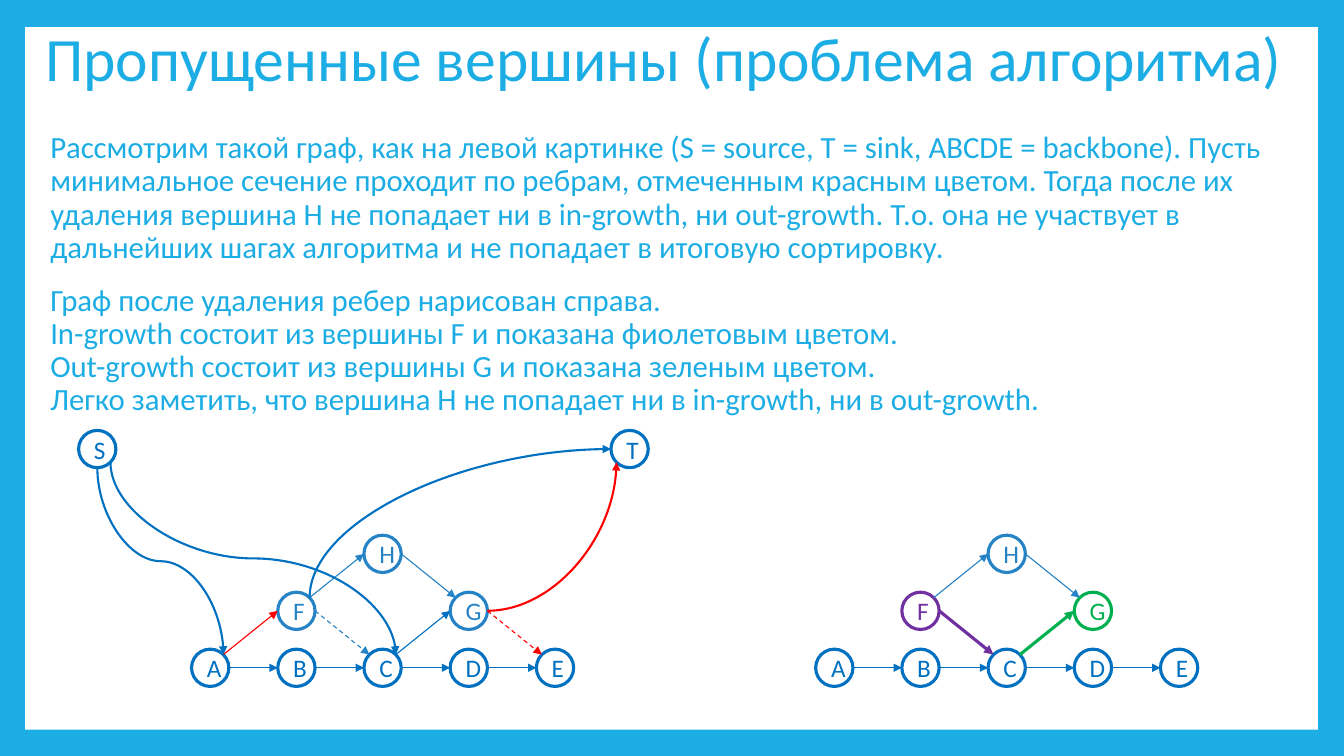
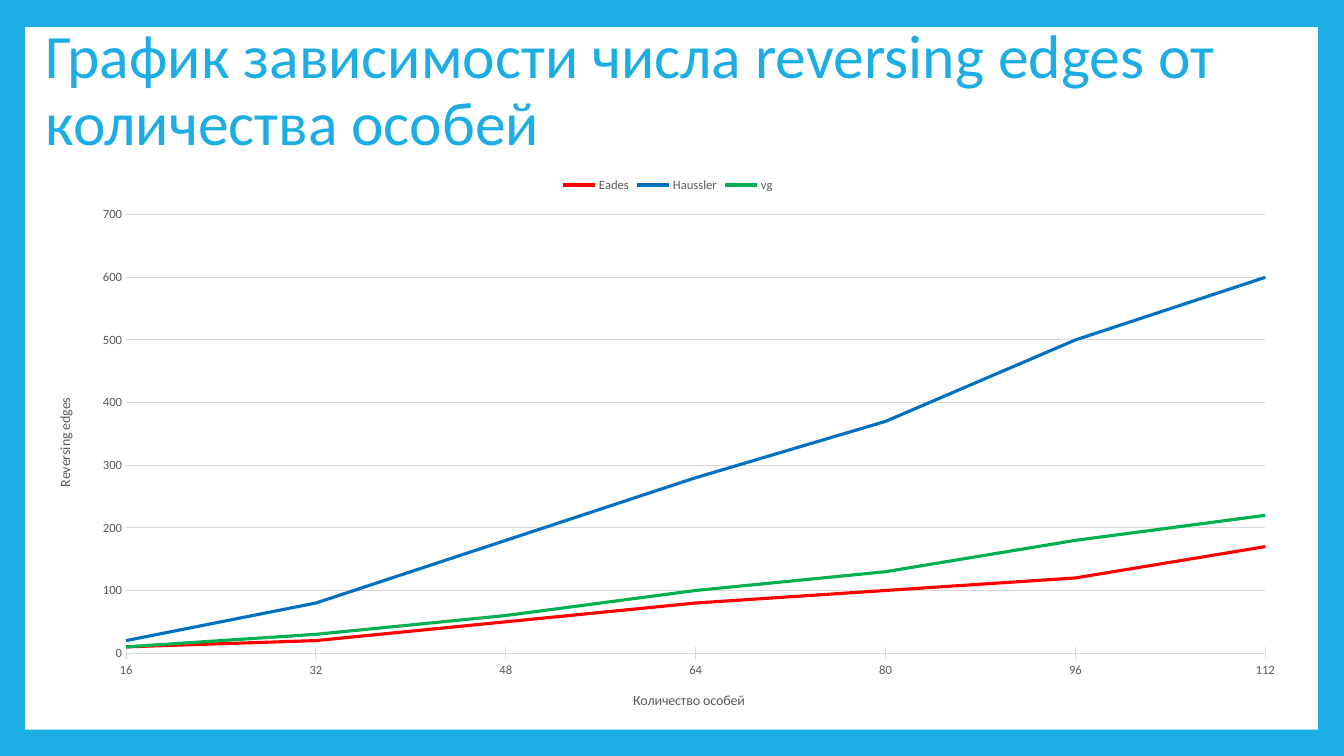
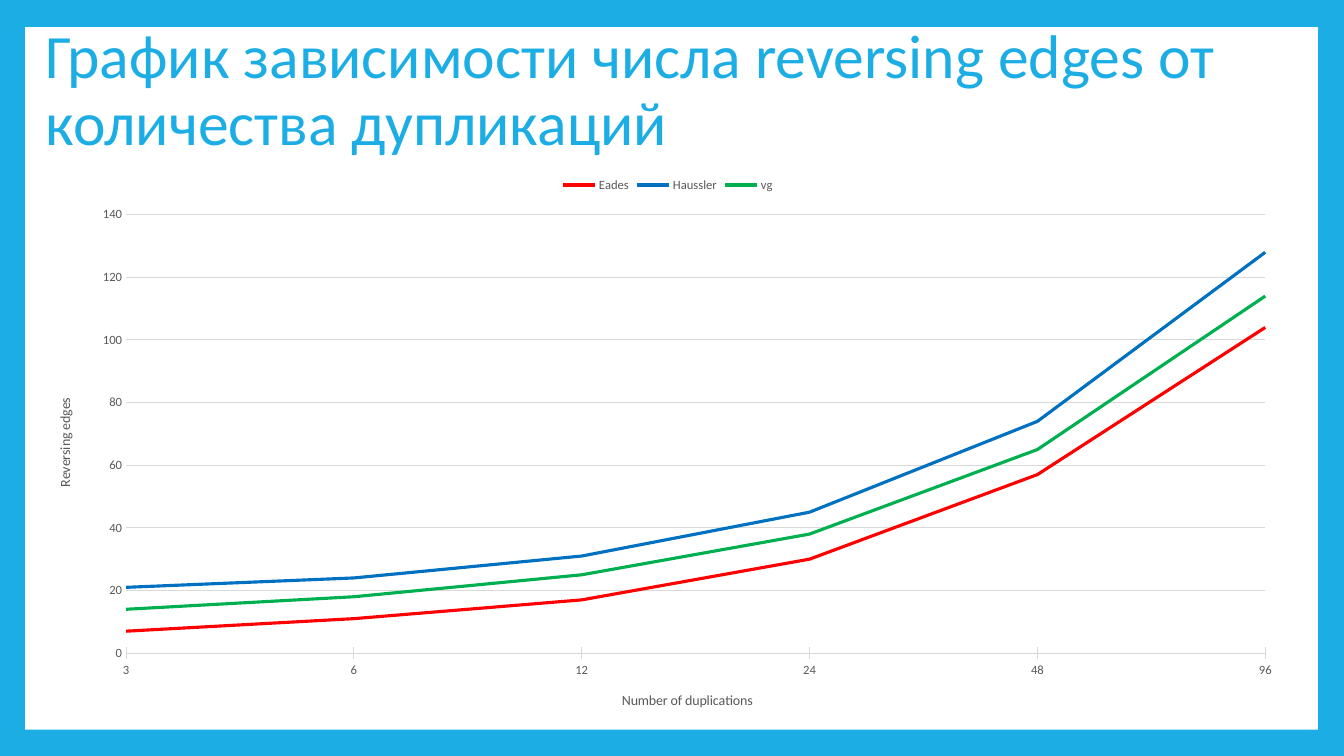
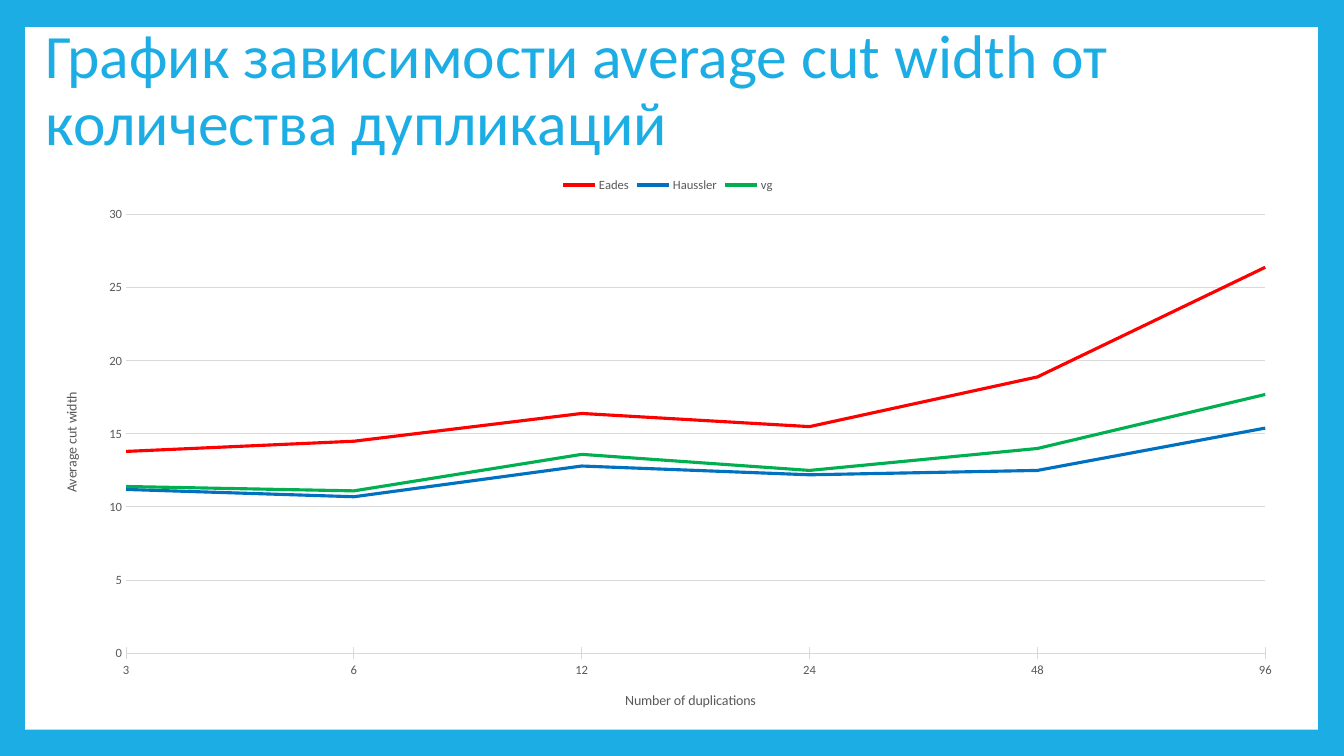
from collections import namedtuple
from dataclasses import dataclass
from math import sqrt

from pptx import Presentation
from pptx import util as u
from pptx.chart import data as chart_data
from pptx.dml import color
from pptx.enum import chart as charts
from pptx.enum import dml, shapes, text
from pptx.oxml import ns, xmlchemy
from pptx.oxml import parse_xml

Box = namedtuple("Box", "left top width height")
Edge = namedtuple("Edge", "start start_side end end_side colour width dash", defaults=(0.79, False))
Curve = namedtuple("Curve", "start start_side end end_side colour preset rotation flips")


@dataclass(frozen=True)
class Theme:
    font: str = "Calibri"
    accent: str = "1CADE4"
    white: str = "FFFFFF"
    blue: str = "0070C0"
    steel: str = "2683C6"
    red: str = "FF0000"
    green: str = "00B050"
    purple: str = "7030A0"
    grey: str = "595959"
    grid: str = "D9D9D9"
    title_size: float = 44
    body_size: float = 22
    node_size: float = 18
    axis_title_size: float = 10
    label_size: float = 9
    line_spacing: float = 0.9
    paragraph_gap: float = 14
    outline: float = 2.25
    curve_width: float = 1.5
    hairline: float = 0.75


THEME = Theme()
PANEL = Box(0.25, 0.27, 12.82, 6.97)
SHORT_TITLE = Box(0.35, 0.18, 12.55, 0.87)
TALL_TITLE = Box(0.35, 0.18, 12.55, 1.47)
BODY = Box(0.35, 1.26, 12.55, 2.95)
CHART = Box(0.35, 1.65, 12.55, 5.59)
PLOT = Box(1.25, 2.13, 11.3, 4.35)

NODE = 0.37
COLUMN = 0.855
ROW = 0.565
GRID = {"A": (0, 2), "B": (1, 2), "C": (2, 2), "D": (3, 2), "E": (4, 2),
        "F": (1, 1), "G": (3, 1), "H": (2, 0)}
TERMINALS = {"S": (-1.12, -1.04), "T": (4.16, -1.04)}
DIAGONAL = sqrt(0.5)
SIDES = {"top": (0, -1), "bottom": (0, 1), "left": (-1, 0), "right": (1, 0),
         "top left": (-DIAGONAL, -DIAGONAL), "top right": (DIAGONAL, -DIAGONAL),
         "bottom left": (-DIAGONAL, DIAGONAL), "bottom right": (DIAGONAL, DIAGONAL)}

BACKBONE = [Edge(a, "right", b, "left", THEME.blue) for a, b in zip("ABCD", "BCDE")]
DETOUR = [Edge("F", "top right", "H", "left", THEME.steel),
          Edge("H", "right", "G", "top left", THEME.steel)]
FULL_EDGES = BACKBONE + DETOUR + [
    Edge("F", "right", "C", "top left", THEME.steel, dash=True),
    Edge("A", "top right", "F", "left", THEME.red),
    Edge("G", "right", "E", "top left", THEME.red, dash=True),
    Edge("C", "top right", "G", "left", THEME.blue),
]
FULL_CURVES = [
    Curve("S", "bottom", "A", "top right", THEME.blue, "curvedConnector3", 270, "H"),
    Curve("S", "bottom right", "C", "top right", THEME.blue, "curvedConnector3", 270, "H"),
    Curve("F", "top right", "T", "left", THEME.blue, "curvedConnector2", 90, "HV"),
    Curve("G", "right", "T", "bottom left", THEME.red, "curvedConnector2", 0, "V"),
]
CUT_EDGES = BACKBONE + DETOUR + [
    Edge("F", "right", "C", "top left", THEME.purple, THEME.outline),
    Edge("C", "top right", "G", "left", THEME.green, THEME.outline),
]

BODY_TEXT = [
    "Рассмотрим такой граф, как на левой картинке (S = source, T = sink, ABCDE = backbone). "
    "Пусть минимальное сечение проходит по ребрам, отмеченным красным цветом. Тогда после их "
    "удаления вершина H не попадает ни в in-growth, ни out-growth. Т.о. она не участвует в "
    "дальнейших шагах алгоритма и не попадает в итоговую сортировку.",
    "Граф после удаления ребер нарисован справа.\n"
    "In-growth состоит из вершины F и показана фиолетовым цветом.\n"
    "Out-growth состоит из вершины G и показана зеленым цветом.\n"
    "Легко заметить, что вершина H не попадает ни в in-growth, ни в out-growth.",
]

SERIES_COLOURS = {"Eades": THEME.red, "Haussler": THEME.blue, "vg": THEME.green}
DUPLICATIONS = ["3", "6", "12", "24", "48", "96"]
CHART_PAGES = [
    dict(title="График зависимости числа reversing edges от количества особей",
         x_title="Количество особей", y_title="Reversing edges", top=700, step=100,
         categories=["16", "32", "48", "64", "80", "96", "112"],
         values=[[10, 20, 50, 80, 100, 120, 170],
                 [20, 80, 180, 280, 370, 500, 600],
                 [10, 30, 60, 100, 130, 180, 220]]),
    dict(title="График зависимости числа reversing edges от количества дупликаций",
         x_title="Number of duplications", y_title="Reversing edges", top=140, step=20,
         categories=DUPLICATIONS,
         values=[[7, 11, 17, 30, 57, 104],
                 [21, 24, 31, 45, 74, 128],
                 [14, 18, 25, 38, 65, 114]]),
    dict(title="График зависимости average cut width от количества дупликаций",
         x_title="Number of duplications", y_title="Average cut width", top=30, step=5,
         categories=DUPLICATIONS,
         values=[[13.8, 14.5, 16.4, 15.5, 18.9, 26.4],
                 [11.2, 10.7, 12.8, 12.2, 12.5, 15.4],
                 [11.4, 11.1, 13.6, 12.5, 14, 17.7]]),
]


def rgb(value):
    return color.RGBColor.from_string(value)


def inches(box):
    return [u.Inches(length) for length in box]


def set_font(font, size, colour):
    font.name = THEME.font
    font.size = u.Pt(size)
    font.bold = False
    font.color.rgb = rgb(colour)


def set_line(line, colour, width):
    line.color.rgb = rgb(colour)
    line.width = u.Pt(width)


def write(frame, paragraphs, size, colour, align=text.PP_ALIGN.LEFT,
          anchor=text.MSO_ANCHOR.TOP, spacing=None, gap=0, indent=0):
    frame.word_wrap = True
    frame.auto_size = text.MSO_AUTO_SIZE.NONE
    frame.vertical_anchor = anchor
    for index, content in enumerate(paragraphs):
        para = frame.add_paragraph() if index else frame.paragraphs[0]
        para.text = content
        para.alignment = align
        para.line_spacing = spacing
        para.space_before = u.Pt(gap if index else 0)
        if indent:
            properties = para._p.get_or_add_pPr()
            properties.set("marL", str(u.Inches(indent)))
            properties.set("indent", "0")
        for span in para.runs:
            set_font(span.font, size, colour)


def set_up_layout(deck, layout):
    fill = layout.background.fill
    fill.solid()
    fill.fore_color.rgb = rgb(THEME.accent)
    page = deck.slides.add_slide(layout)
    panel = page.shapes.add_shape(shapes.MSO_SHAPE.RECTANGLE, *inches(PANEL))
    panel.shadow.inherit = False
    panel.fill.solid()
    panel.fill.fore_color.rgb = rgb(THEME.white)
    panel.line.fill.background()
    panel.element.nvSpPr.cNvPr.set("id", "20")
    layout.shapes.element.insert(2, panel.element)
    return page


def add_title(page, box, content):
    title = page.shapes.title
    title.left, title.top, title.width, title.height = inches(box)
    write(title.text_frame, [content], THEME.title_size, THEME.accent,
          anchor=text.MSO_ANCHOR.MIDDLE, spacing=THEME.line_spacing)


def add_body(page, box, paragraphs):
    body = page.shapes.add_textbox(*inches(box))
    write(body.text_frame, paragraphs, THEME.body_size, THEME.accent,
          spacing=THEME.line_spacing, gap=THEME.paragraph_gap, indent=0.05)


def add_node(page, left, top, name, colour):
    node = page.shapes.add_shape(shapes.MSO_SHAPE.OVAL, *inches((left, top, NODE, NODE)))
    node.shadow.inherit = False
    node.fill.background()
    set_line(node.line, colour, THEME.outline)
    write(node.text_frame, [name], THEME.node_size, colour,
          align=text.PP_ALIGN.CENTER, anchor=text.MSO_ANCHOR.MIDDLE)


def finish_arrow(arrow, colour, width, dash=False):
    set_line(arrow.line, colour, width)
    if dash:
        arrow.line.dash_style = dml.MSO_LINE.DASH
    properties = arrow.element.spPr
    outline = properties.find(ns.qn("a:ln"))
    outline.append(xmlchemy.OxmlElement("a:tailEnd"))
    outline[-1].set("type", "triangle")
    properties.append(xmlchemy.OxmlElement("a:effectLst"))


def add_edge(page, start, end, edge):
    arrow = page.shapes.add_connector(shapes.MSO_CONNECTOR.STRAIGHT, *inches(start + end))
    finish_arrow(arrow, edge.colour, edge.width, edge.dash)


def add_curve(page, start, end, curve):
    width, height = abs(end[0] - start[0]), abs(end[1] - start[1])
    if curve.rotation % 180:
        width, height = height, width
    left = (start[0] + end[0] - width) / 2
    top = (start[1] + end[1] - height) / 2
    arrow = page.shapes.add_connector(
        shapes.MSO_CONNECTOR.CURVE, *inches((left, top, left + width, top + height)))
    properties = arrow.element.spPr
    properties.find(ns.qn("a:prstGeom")).set("prst", curve.preset)
    frame = properties.find(ns.qn("a:xfrm"))
    if curve.rotation:
        frame.set("rot", str(curve.rotation * 60000))
    for axis in curve.flips:
        frame.set("flip" + axis, "1")
    finish_arrow(arrow, curve.colour, THEME.curve_width)


def add_graph(page, left, top, edges, curves=(), terminals=None, colours=None):
    offsets = {name: (column * COLUMN, row * ROW) for name, (column, row) in GRID.items()}
    offsets.update(terminals or {})
    palette = dict.fromkeys(offsets, THEME.blue)
    palette.update(dict.fromkeys("FGH", THEME.steel))
    palette.update(colours or {})
    for name, (x, y) in offsets.items():
        add_node(page, left + x, top + y, name, palette[name])

    def point(name, side):
        x, y = offsets[name]
        across, down = SIDES[side]
        return (left + x + NODE / 2 * (1 + across), top + y + NODE / 2 * (1 + down))

    for links, draw in ((edges, add_edge), (curves, add_curve)):
        for link in links:
            draw(page, point(link.start, link.start_side), point(link.end, link.end_side), link)


def title_axis(axis, content):
    frame = axis.axis_title.text_frame
    frame.text = content
    set_font(frame.paragraphs[0].runs[0].font, THEME.axis_title_size, THEME.grey)
    set_font(axis.tick_labels.font, THEME.label_size, THEME.grey)


def start_lines_on_axis(chart):
    crossing = xmlchemy.OxmlElement("c:crossBetween")
    crossing.set("val", "midCat")
    value_axis = chart.element.find(".//" + ns.qn("c:valAx"))
    for old in value_axis.findall(ns.qn("c:crossBetween")):
        value_axis.remove(old)
    value_axis.find(ns.qn("c:majorUnit")).addprevious(crossing)


def place_plot(chart, box, plot):
    area = chart.element.find(".//" + ns.qn("c:plotArea"))
    for old in area.findall(ns.qn("c:layout")):
        area.remove(old)
    fractions = {"x": (plot.left - box.left) / box.width,
                 "y": (plot.top - box.top) / box.height,
                 "w": plot.width / box.width, "h": plot.height / box.height}
    modes = '<c:layoutTarget val="inner"/><c:xMode val="edge"/><c:yMode val="edge"/>'
    sizes = "".join(f'<c:{key} val="{value:.4f}"/>' for key, value in fractions.items())
    area.insert(0, parse_xml(
        f'<c:layout {ns.nsdecls("c")}><c:manualLayout>{modes}{sizes}</c:manualLayout></c:layout>'))


def add_line_chart(page, box, plot, x_title, y_title, top, step, categories, values):
    numbers = chart_data.CategoryChartData()
    numbers.categories = categories
    for name, row in zip(SERIES_COLOURS, values):
        numbers.add_series(name, row)
    chart = page.shapes.add_chart(charts.XL_CHART_TYPE.LINE, *inches(box), numbers).chart
    chart.has_title = False
    set_font(chart.font, THEME.label_size, THEME.grey)
    chart.has_legend = True
    chart.legend.position = charts.XL_LEGEND_POSITION.TOP
    chart.legend.include_in_layout = False
    set_font(chart.legend.font, THEME.label_size, THEME.grey)
    chart.plots[0].vary_by_categories = False
    for series in chart.plots[0].series:
        series.smooth = False
        set_line(series.format.line, SERIES_COLOURS[series.name], THEME.outline)

    x_axis, y_axis = chart.category_axis, chart.value_axis
    title_axis(x_axis, x_title)
    title_axis(y_axis, y_title)
    x_axis.major_tick_mark = charts.XL_TICK_MARK.CROSS
    set_line(x_axis.format.line, THEME.grid, THEME.hairline)
    y_axis.major_tick_mark = charts.XL_TICK_MARK.NONE
    y_axis.format.line.fill.background()
    y_axis.minimum_scale, y_axis.maximum_scale, y_axis.major_unit = 0, top, step
    y_axis.has_major_gridlines = True
    set_line(y_axis.major_gridlines.format.line, THEME.grid, THEME.hairline)
    start_lines_on_axis(chart)
    place_plot(chart, box, plot)


def build_graph_page(page):
    add_title(page, SHORT_TITLE, "Пропущенные вершины (проблема алгоритма)")
    add_body(page, BODY, BODY_TEXT)
    add_graph(page, 1.9, 5.31, FULL_EDGES, FULL_CURVES, TERMINALS)
    add_graph(page, 8.09, 5.31, CUT_EDGES, colours={"F": THEME.purple, "G": THEME.green})


def build_chart_page(page, title, **details):
    add_title(page, TALL_TITLE, title)
    add_line_chart(page, CHART, PLOT, **details)


def main():
    deck = Presentation()
    deck.slide_width, deck.slide_height = u.Inches(13.33), u.Inches(7.5)
    layout = deck.slide_layouts.get_by_name("Title Only")
    build_graph_page(set_up_layout(deck, layout))
    for details in CHART_PAGES:
        build_chart_page(deck.slides.add_slide(layout), **details)
    deck.save("out.pptx")


if __name__ == "__main__":
    main()
